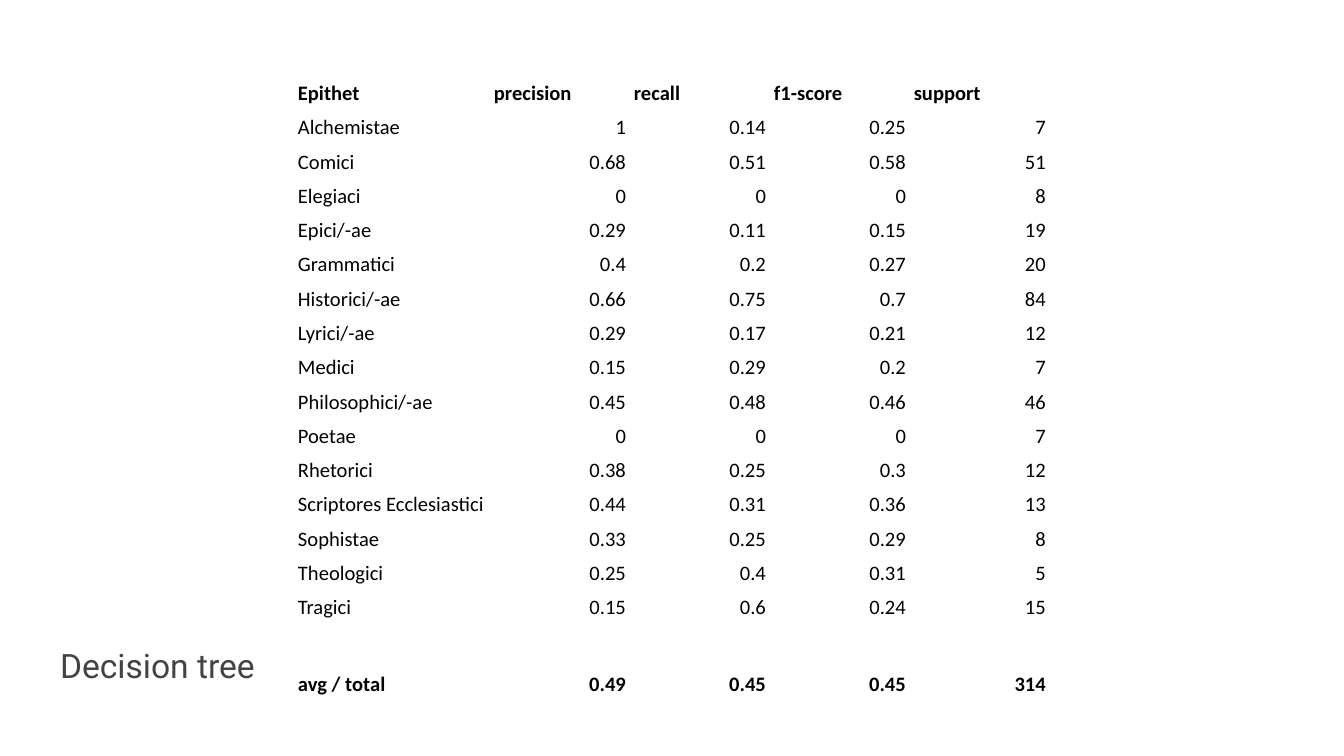
"""Build the decision tree slide with its classification scores per epithet."""
from pptx import Presentation
from pptx.dml.color import RGBColor
from pptx.enum.text import MSO_ANCHOR, PP_ALIGN
from pptx.util import Emu, Pt

BLACK = RGBColor(0x00, 0x00, 0x00)
GREY = RGBColor(0x43, 0x43, 0x43)
EMU_PER_PX = 914400 / 134.4

SCORES = [
    ("Epithet", "precision", "recall", "f1-score", "support"),
    ("Alchemistae", "1", "0.14", "0.25", "7"),
    ("Comici", "0.68", "0.51", "0.58", "51"),
    ("Elegiaci", "0", "0", "0", "8"),
    ("Epici/-ae", "0.29", "0.11", "0.15", "19"),
    ("Grammatici", "0.4", "0.2", "0.27", "20"),
    ("Historici/-ae", "0.66", "0.75", "0.7", "84"),
    ("Lyrici/-ae", "0.29", "0.17", "0.21", "12"),
    ("Medici", "0.15", "0.29", "0.2", "7"),
    ("Philosophici/-ae", "0.45", "0.48", "0.46", "46"),
    ("Poetae", "0", "0", "0", "7"),
    ("Rhetorici", "0.38", "0.25", "0.3", "12"),
    ("Scriptores Ecclesiastici", "0.44", "0.31", "0.36", "13"),
    ("Sophistae", "0.33", "0.25", "0.29", "8"),
    ("Theologici", "0.25", "0.4", "0.31", "5"),
    ("Tragici", "0.15", "0.6", "0.24", "15"),
    ("", "", "", "", ""),
    ("avg / total", "0.49", "0.45", "0.45", "314"),
]
COLUMN_WIDTHS = [196, 140, 140, 140, 140]
ROW_HEIGHT = 30
GAP_HEIGHT = 43


def px(length):
    return Emu(round(length * EMU_PER_PX))


def format_text(paragraph, font_name, size, color, bold=False):
    for run in paragraph.runs:
        run.font.name = font_name
        run.font.size = Pt(size)
        run.font.color.rgb = color
        run.font.bold = bold


presentation = Presentation()
presentation.slide_width = px(1344)
presentation.slide_height = px(756)
slide = presentation.slides.add_slide(presentation.slide_layouts[6])

caption = slide.shapes.add_textbox(px(47), px(622), px(882), px(87))
text_frame = caption.text_frame
text_frame.word_wrap = True
text_frame.vertical_anchor = MSO_ANCHOR.MIDDLE
text_frame.margin_left = text_frame.margin_right = px(13)
text_frame.margin_top = text_frame.margin_bottom = px(13)
text_frame.text = "Decision tree"
format_text(text_frame.paragraphs[0], "Roboto", 18, GREY)

table = slide.shapes.add_table(
    len(SCORES), len(COLUMN_WIDTHS), px(294), px(74),
    px(sum(COLUMN_WIDTHS)), px(ROW_HEIGHT * len(SCORES)),
).table
table.first_row = False
table.horz_banding = False
for column, width in zip(table.columns, COLUMN_WIDTHS):
    column.width = px(width)

for row_index, values in enumerate(SCORES):
    is_gap = not any(values)
    is_header = row_index == 0
    is_total = row_index == len(SCORES) - 1
    table.rows[row_index].height = px(GAP_HEIGHT if is_gap else ROW_HEIGHT)
    for column_index, value in enumerate(values):
        cell = table.cell(row_index, column_index)
        cell.fill.background()
        cell.vertical_anchor = MSO_ANCHOR.BOTTOM
        cell.margin_left = cell.margin_right = px(4)
        cell.margin_top = cell.margin_bottom = px(0 if is_gap else 3)
        if is_gap:
            continue
        cell.text_frame.text = value
        paragraph = cell.text_frame.paragraphs[0]
        paragraph.line_spacing = 1.15
        if column_index > 0 and not is_header:
            paragraph.alignment = PP_ALIGN.RIGHT
        format_text(paragraph, "Calibri", 11, BLACK, is_header or is_total)

presentation.save("out.pptx")
